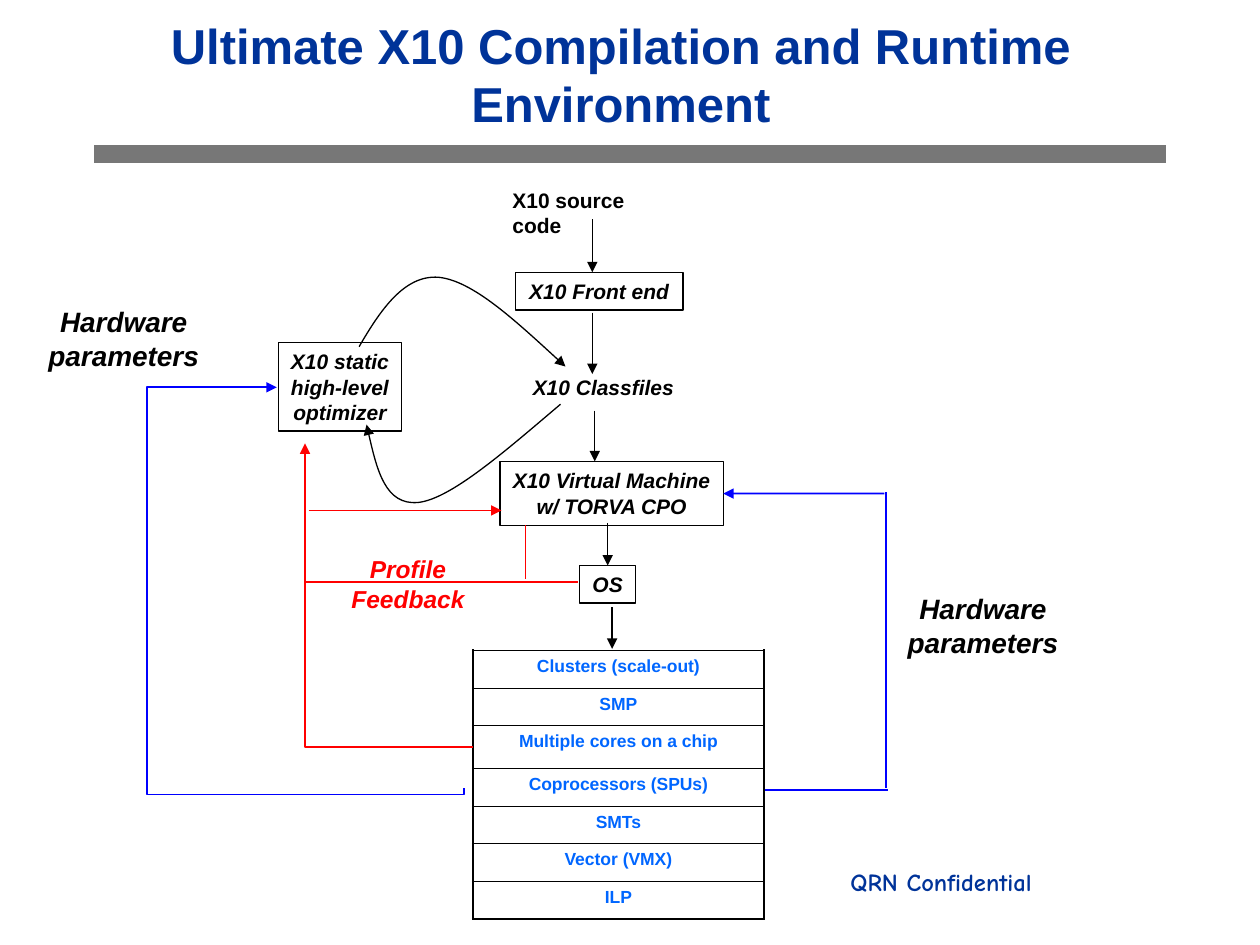
"""Build a slide that shows how X10 code is compiled and run."""
from dataclasses import dataclass

from pptx import Presentation
from pptx.dml.color import RGBColor
from pptx.enum.shapes import MSO_CONNECTOR, MSO_SHAPE
from pptx.enum.text import MSO_ANCHOR, MSO_AUTO_SIZE, PP_ALIGN
from pptx.oxml.ns import qn
from pptx.oxml.xmlchemy import OxmlElement
from pptx.util import Cm, Pt

BLACK = RGBColor(0, 0, 0)
WHITE = RGBColor(255, 255, 255)
GRAY = RGBColor(0x77, 0x77, 0x77)
NAVY = RGBColor(0, 0x33, 0x99)
BLUE = RGBColor(0, 0, 255)
SKY = RGBColor(0, 0x66, 255)
RED = RGBColor(255, 0, 0)


@dataclass
class Label:
    text: str
    at: tuple[float, float, float, float]
    size: float = 12
    color: RGBColor = BLACK
    italic: bool = True
    wrap: bool = False
    boxed: bool = False
    font: str = "Arial"
    align: PP_ALIGN = PP_ALIGN.CENTER
    gap: float = 0


@dataclass
class Link:
    start: tuple[float, float]
    end: tuple[float, float]
    color: RGBColor = BLACK
    width: float = 0.75
    arrow: bool = True


SOURCE = Label("X10 source code", (10.08, 3.66, 3.86, 0.76), italic=False, align=PP_ALIGN.LEFT)
FRONT = Label("X10 Front end", (10.39, 5.49, 3.38, 0.76), wrap=True, boxed=True, gap=7.5)
FILES = Label("X10 Classfiles", (10.49, 7.42, 3.35, 0.76))
TUNER = Label("X10 static\nhigh-level\noptimizer", (5.61, 6.91, 2.49, 1.78), boxed=True)
ENGINE = Label("X10 Virtual Machine\nw/ TORVA CPO", (10.08, 9.31, 4.5, 1.28), boxed=True)
SYSTEM = Label("OS", (11.69, 11.4, 1.12, 0.76), boxed=True)
HARD = "Hardware parameters"
NOTES = [
    Label(HARD, (17.96, 11.81, 3.71, 1.63), 16, wrap=True),
    Label(HARD, (0.64, 6.02, 3.71, 1.63), 16, wrap=True),
    Label("Profile\nFeedback", (6.83, 11.05, 2.79, 1.45), 14, RED),
    Label("QRN Confidential", (4.06, 17.35, 16.99, 1.27), 14, NAVY, italic=False,
          wrap=True, font="Comic Neue", align=PP_ALIGN.RIGHT),
]
LINKS = [
    Link((11.94, 4.42), (11.94, 5.49)),
    Link((11.94, 6.3), (11.94, 7.54)),
    Link((11.99, 8.28), (11.99, 9.3)),
    Link((12.34, 12.24), (12.34, 13.08)),
    Link((15.42, 15.93), (17.91, 15.93), BLUE, 1, False),
    Link((17.86, 15.88), (17.86, 9.91), BLUE, 1, False),
    Link((6.15, 11.73), (11.66, 11.73), RED, arrow=False),
    Link((10.59, 10.59), (10.59, 11.68), RED, arrow=False),
    Link((6.22, 10.29), (10.11, 10.29), RED),
]
CURVES = [
    [(11.3, 8.15), (10.19, 9.09), (9.09, 10.06), (8.43, 10.13),
     (7.77, 10.19), (7.57, 9.37), (7.39, 8.56)],
    [(7.24, 6.99), (7.67, 6.25), (8.15, 5.54), (8.84, 5.59),
     (9.53, 5.66), (10.46, 6.53), (11.4, 7.39)],
]
LEVELS = ["Clusters (scale-out)", "SMP", "Multiple cores on a chip",
          "Coprocessors (SPUs)", "SMTs", "Vector (VMX)", "ILP"]


def style(frame, size, color, italic=False, font="Arial", align=PP_ALIGN.CENTER, gap=0) -> None:
    for para in frame.paragraphs:
        para.alignment = align
        para.space_before = Pt(gap)
        para.font.name, para.font.size = font, Pt(size)
        para.font.bold, para.font.italic = True, italic
        para.font.color.rgb = color


def stroke(shape, color: RGBColor, width: float, arrow: bool = False) -> None:
    shape.line.color.rgb = color
    shape.line.width = Pt(width)
    if arrow:
        tip = OxmlElement("a:tailEnd")
        tip.set("type", "triangle")
        shape.line.fill
        shape.element.spPr.find(qn("a:ln")).append(tip)


def write(shapes, label: Label):
    place = [Cm(num) for num in label.at]
    if label.boxed:
        shape = shapes.add_shape(MSO_SHAPE.RECTANGLE, *place)
        shape.shadow.inherit = False
        shape.fill.background()
        stroke(shape, BLACK, 0.75)
    else:
        shape = shapes.add_textbox(*place)
    frame = shape.text_frame
    frame.text = label.text
    frame.word_wrap = label.wrap
    frame.auto_size = MSO_AUTO_SIZE.SHAPE_TO_FIT_TEXT
    frame.vertical_anchor = MSO_ANCHOR.TOP
    style(frame, label.size, label.color, label.italic, label.font, label.align, label.gap)
    return shape


def join(shapes, link: Link, kind=MSO_CONNECTOR.STRAIGHT):
    line = shapes.add_connector(kind, *(Cm(num) for num in link.start + link.end))
    stroke(line, link.color, link.width, link.arrow)
    line.element.spPr.append(OxmlElement("a:effectLst"))
    return line


def bend(shapes, link: Link, preset: str, turn: int = 0, adjust: tuple[int, ...] = ()) -> None:
    props = join(shapes, link, MSO_CONNECTOR.ELBOW).element.spPr
    props.find(qn("a:xfrm")).set("rot", str(turn * 60000))
    shape = props.find(qn("a:prstGeom"))
    shape.set("prst", preset)
    for num, value in enumerate(adjust, 1):
        guide = OxmlElement("a:gd")
        guide.set("name", f"adj{num}")
        guide.set("fmla", f"val {value}")
        shape.find(qn("a:avLst")).append(guide)


def curve(shapes, points: list[tuple[float, float]]) -> None:
    first, *rest = [(Cm(x), Cm(y)) for x, y in points]
    form = shapes.build_freeform(*first)
    form.add_line_segments(rest, close=False)
    shape = form.convert_to_shape()
    shape.shadow.inherit = False
    shape.fill.background()
    stroke(shape, BLACK, 0.75, True)
    steps = list(shape.element.iter(qn("a:lnTo")))
    for num in range(0, len(steps), 3):
        arc = OxmlElement("a:cubicBezTo")
        steps[num].addprevious(arc)
        for step in steps[num:num + 3]:
            arc.append(step[0])
            step.getparent().remove(step)


def edge(cell, side: str, width: float) -> None:
    line = OxmlElement(f"a:ln{side}")
    line.set("w", str(Pt(width)))
    fill, color = OxmlElement("a:solidFill"), OxmlElement("a:srgbClr")
    color.set("val", str(BLACK))
    fill.append(color)
    line.append(fill)
    cell._tc.get_or_add_tcPr().append(line)


def stack(shapes) -> None:
    last = len(LEVELS) - 1
    table = shapes.add_table(len(LEVELS), 1, Cm(9.53), Cm(13.11), Cm(5.87), Cm(5.42)).table
    table.first_row = table.horz_banding = False
    for num, text in enumerate(LEVELS):
        table.rows[num].height = Cm(0.86 if num == 2 else 0.76)
        cell = table.cell(num, 0)
        cell.text = text
        style(cell.text_frame, 10, SKY, gap=6.2)
        top, base = (1.08 if num == end else 0.45 for end in (0, last))
        for side, width in zip("LRTB", (1.08, 1.08, top, base)):
            edge(cell, side, width)
        cell.fill.solid()
        cell.fill.fore_color.rgb = WHITE


def main() -> None:
    deck = Presentation()
    deck.slide_width, deck.slide_height = Cm(25.4), Cm(19.05)
    slide = deck.slides.add_slide(deck.slide_layouts[5])
    shapes = slide.shapes
    title = shapes.title
    title.left, title.top, title.width, title.height = Cm(1.4), Cm(0.18), Cm(22.23), Cm(2.62)
    title.text_frame.text = "Ultimate X10 Compilation and Runtime Environment"
    title.text_frame.vertical_anchor = MSO_ANCHOR.MIDDLE
    style(title.text_frame, 28, NAVY)
    join(shapes, Link((1.9, 3.1), (23.5, 3.1), GRAY, 10, False))
    for label in (SOURCE, FRONT, FILES, TUNER):
        write(shapes, label)
    engine, system = write(shapes, ENGINE), write(shapes, SYSTEM)
    stack(shapes)
    for link in LINKS:
        join(shapes, link)
    join(shapes, Link((12.25, 10.54), (12.25, 11.4))).end_connect(system, 0)
    join(shapes, Link((17.83, 9.95), (14.58, 9.95), BLUE, 1)).end_connect(engine, 3)
    for points in CURVES:
        curve(shapes, points)
    bend(shapes, Link((3.43, 13.74), (11.51, 9.96), BLUE, 1), "bentConnector4", 270, (-1600, 169300))
    bend(shapes, Link((9.53, 15.06), (6.15, 8.94), RED), "bentConnector2")
    for label in NOTES:
        write(shapes, label)
    deck.save("out.pptx")


if __name__ == "__main__":
    main()
